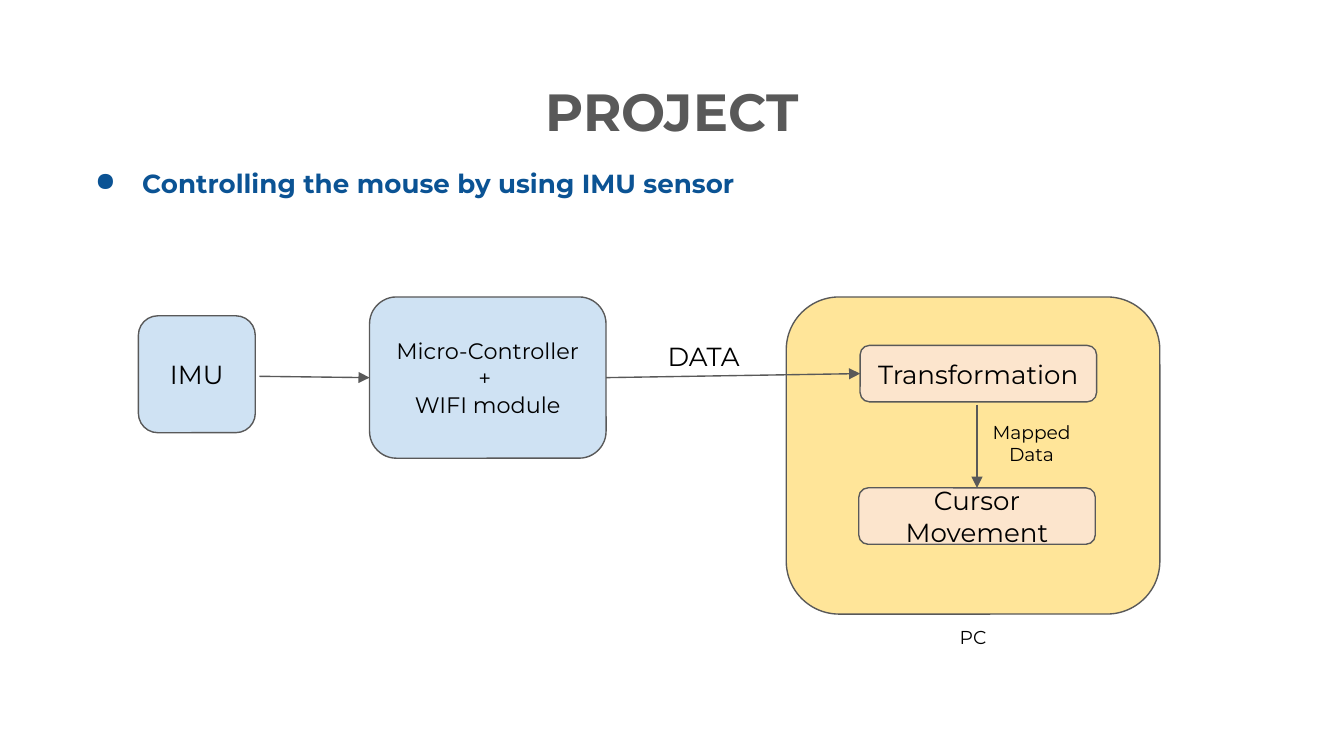
from pptx import Presentation
from pptx.dml.color import RGBColor
from pptx.enum.shapes import MSO_CONNECTOR as Link, MSO_SHAPE as Shape
from pptx.enum.text import MSO_ANCHOR as Anchor, PP_ALIGN as Align
from pptx.oxml.ns import qn
from pptx.util import Inches, Pt
from lxml.etree import SubElement

WIDTH = 10
HEIGHT = WIDTH * 9 / 16
FONT = "Montserrat"
GREY, BLUE, BLACK = "595959", "0B5394", "000000"
SKY, SAND, PEACH = "CFE2F3", "FFE599", "FCE5CD"

# name: (left, top, width, height), fill, lines of text, text size
BOXES = {
    "imu": ((1.03, 2.35, 0.87, 0.87), SKY, ["IMU"], 14),
    "micro": ((2.75, 2.21, 1.76, 1.2), SKY,
              ["Micro-Controller", "+ ", "WIFI module"], 12),
    "pc": ((5.85, 2.21, 2.78, 2.36), SAND, [], 14),
    "trans": ((6.4, 2.57, 1.76, 0.42), PEACH, ["Transformation"], 14),
    "cursor": ((6.39, 3.63, 1.76, 0.42), PEACH, ["Cursor Movement"], 14),
}
# start (a point, or a box and its side), end box and its side
TOP, LEFT, RIGHT = 0, 1, 3
ARROWS = [
    ((1.93, 2.8), ("micro", LEFT)),
    (("micro", RIGHT), ("trans", LEFT)),
    ((7.27, 3.01), ("cursor", TOP)),
]
# place, text, format
LABELS = [
    ((0.34, 0.49, 9.32, 0.63), "PROJECT",
     dict(size=28, color=GREY, bold=True)),
    ((6.73, 4.57, 1.02, 0.33), "PC", dict(size=10)),
    ((4.76, 2.45, 0.95, 0.18), "DATA", dict(size=14)),
    ((7.2, 3.07, 0.95, 0.16), "Mapped Data", dict(size=10)),
]
BULLET = ((0.46, 1.11, 9.02, 0.63), "Controlling the mouse by using IMU sensor",
          dict(size=14, color=BLUE, bold=True, align=Align.LEFT))


def rgb(code):
    return RGBColor.from_string(code)


def write(shape, lines, size, color=BLACK, bold=False, align=Align.CENTER,
          anchor=Anchor.TOP):
    frame = shape.text_frame
    inset = Inches(0.1)
    layout = dict(word_wrap=True, vertical_anchor=anchor, margin_left=inset,
                  margin_right=inset, margin_top=inset, margin_bottom=inset)
    for key, value in layout.items():
        setattr(frame, key, value)
    frame.text = "\n".join(lines)
    for para in frame.paragraphs:
        para.alignment = align
        for run in para.runs:
            look = dict(name=FONT, size=Pt(size), bold=bold)
            for key, value in look.items():
                setattr(run.font, key, value)
            run.font.color.rgb = rgb(color)


def outline(line):
    line.color.rgb = rgb(GREY)
    line.width = Pt(0.75)


def add_box(slide, place, fill, lines, size):
    box = slide.shapes.add_shape(Shape.ROUNDED_RECTANGLE, *map(Inches, place))
    box.shadow.inherit = False
    box.fill.solid()
    box.fill.fore_color.rgb = rgb(fill)
    outline(box.line)
    if lines:
        write(box, lines, size, anchor=Anchor.MIDDLE)
    return box


def add_label(slide, place, text, style):
    label = slide.shapes.add_textbox(*map(Inches, place))
    write(label, [text], **style)
    return label


def add_bullet(para):
    """Give the paragraph a hanging round bullet."""
    para.line_spacing = 1.15
    props = para._p.get_or_add_pPr()
    props.set("marL", str(Inches(0.5)))
    props.set("indent", str(Inches(-0.35)))
    tint = SubElement(props, qn("a:buClr"))
    SubElement(tint, qn("a:srgbClr"), val=BLUE)
    SubElement(props, qn("a:buChar"), char="●")


def add_arrow(slide, boxes, start, end):
    joined = start[0] in boxes
    x, y = (0, 0) if joined else map(Inches, start)
    arrow = slide.shapes.add_connector(Link.STRAIGHT, x, y, x, y)
    if joined:
        arrow.begin_connect(boxes[start[0]], start[1])
    arrow.end_connect(boxes[end[0]], end[1])
    outline(arrow.line)
    SubElement(arrow.line._get_or_add_ln(), qn("a:tailEnd"), type="triangle")
    SubElement(arrow._element.spPr, qn("a:effectLst"))


def main():
    deck = Presentation()
    deck.slide_width, deck.slide_height = Inches(WIDTH), Inches(HEIGHT)
    slide = deck.slides.add_slide(deck.slide_layouts[6])
    boxes = {name: add_box(slide, *box) for name, box in BOXES.items()}
    for start, end in ARROWS:
        add_arrow(slide, boxes, start, end)
    for label in LABELS:
        add_label(slide, *label)
    add_bullet(add_label(slide, *BULLET).text_frame.paragraphs[0])
    deck.save("out.pptx")


if __name__ == "__main__":
    main()
